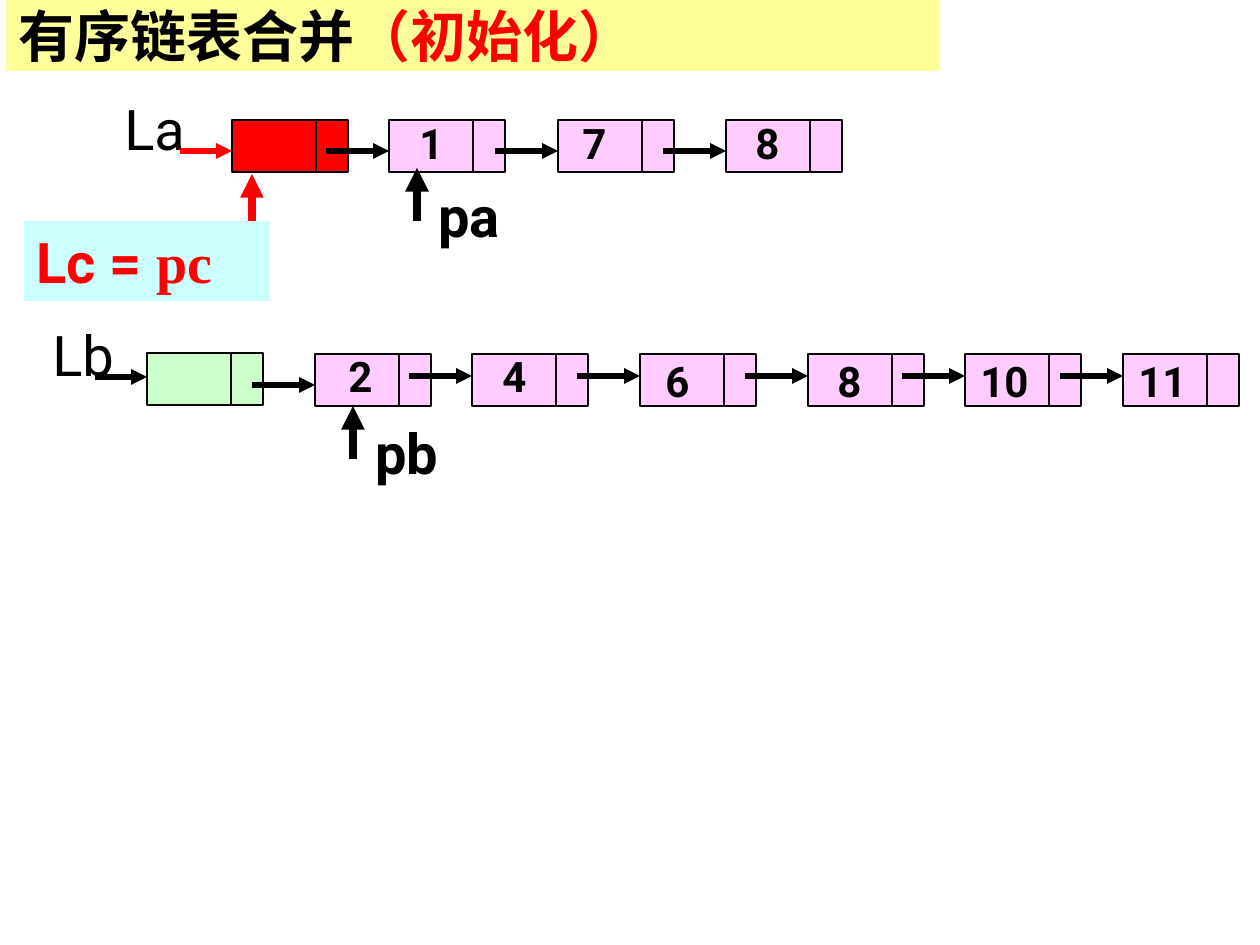
"""Build a slide showing the initial state of merging two ordered linked lists."""
from lxml import etree
from pptx import Presentation, util as u
from pptx.dml.color import RGBColor
from pptx.enum import shapes, text
from pptx.oxml.ns import qn

PX = 7257
NODE_HEIGHT, DATA_WIDTH, LINK_WIDTH = 52, 84, 32
BLACK, RED, PINK, GREEN = "000000", "FF0000", "FFCCFF", "CCFFCC"
YELLOW, CYAN = "FFFF99", "CCFFFF"
color = RGBColor.from_string


def add_label(bounds, words, size=32, bold=True, ink=BLACK, font="Roboto", fill=None):
    box = slide.shapes.add_textbox(*(value * PX for value in bounds))
    frame = box.text_frame
    frame.word_wrap = fill is not None
    frame.auto_size = text.MSO_AUTO_SIZE.SHAPE_TO_FIT_TEXT
    if fill:
        box.fill.solid()
        box.fill.fore_color.rgb = color(fill)
        frame.auto_size = text.MSO_AUTO_SIZE.NONE
    paragraph = frame.paragraphs[0]
    paragraph.add_run().text = words
    paragraph.font.size, paragraph.font.bold = u.Pt(size), bold
    paragraph.font.name, paragraph.font.color.rgb = font, color(ink)
    return paragraph


def add_arrow(x1, y1, x2, y2, ink=BLACK, width=3):
    arrow = slide.shapes.add_connector(
        shapes.MSO_CONNECTOR.STRAIGHT, x1 * PX, y1 * PX, x2 * PX, y2 * PX)
    arrow.line.width = u.Pt(width)
    arrow.line.color.rgb = color(ink)
    etree.SubElement(arrow.line._get_or_add_ln(), qn("a:tailEnd"), type="triangle")
    etree.SubElement(arrow._element.spPr, qn("a:effectLst"))


presentation = Presentation()
presentation.slide_width, presentation.slide_height = u.Inches(10), u.Inches(7.5)
slide = presentation.slides.add_slide(presentation.slide_layouts[6])

title = add_label((6, 0, 933, 71), "有序链表合并", font="Noto Sans CJK SC", fill=YELLOW)
title.add_run().text = "（初始化）"
title.runs[1].font.color.rgb = color(RED)
for run in title.runs:
    etree.SubElement(run._r.get_or_add_rPr(), qn("a:ea"), typeface="Noto Sans CJK SC")
slide.shapes[0].text_frame.vertical_anchor = text.MSO_ANCHOR.MIDDLE

nodes = [
    (232, 120, RED), (389, 120, PINK), (558, 120, PINK), (726, 120, PINK),
    (147, 353, GREEN), (315, 354, PINK), (472, 354, PINK), (640, 354, PINK),
    (808, 354, PINK), (965, 354, PINK), (1123, 354, PINK),
]
for left, top, fill in nodes:
    node = slide.shapes.add_group_shape()
    for x, width in ((left, DATA_WIDTH), (left + DATA_WIDTH, LINK_WIDTH)):
        cell = node.shapes.add_shape(
            shapes.MSO_SHAPE.RECTANGLE, x * PX, top * PX, width * PX, NODE_HEIGHT * PX)
        cell.shadow.inherit = False
        cell.fill.solid()
        cell.fill.fore_color.rgb = color(fill)
        cell.line.color.rgb = color(BLACK)
        cell.line.width = u.Pt(0.75)

for y, targets in ((151, (389, 558, 726)), (385, (315,)), (376, (472, 640, 808, 965, 1123))):
    for target in targets:
        add_arrow(target - 63, y, target, y)

values = [
    (407, 111, "1"), (570, 111, "7"), (743, 111, "8"), (336, 344, "2"), (490, 344, "4"),
    (653, 349, "6"), (825, 349, "8"), (968, 349, "10"), (1126, 349, "11"),
]
for left, top, value in values:
    add_label((left, top, 25 + 24 * len(value), 63), value, size=24)

add_label((112, 88, 86, 81), "La", bold=False)
add_label((40, 314, 88, 81), "Lb", bold=False)
add_label((426, 175, 94, 81), "pa")
add_label((363, 412, 96, 81), "pb")
merged = add_label((24, 221, 246, 80), "Lc = ", ink=RED, fill=CYAN)
merged.add_run().text = "pc"
merged.runs[1].font.name = "Times New Roman"

add_arrow(180, 151, 232, 151, RED)
add_arrow(95, 377, 147, 377)
add_arrow(417, 221, 417, 168, width=4.5)
add_arrow(353, 459, 353, 406, width=4.5)
add_arrow(252, 221, 252, 174, RED, 4.5)

presentation.save("out.pptx")
